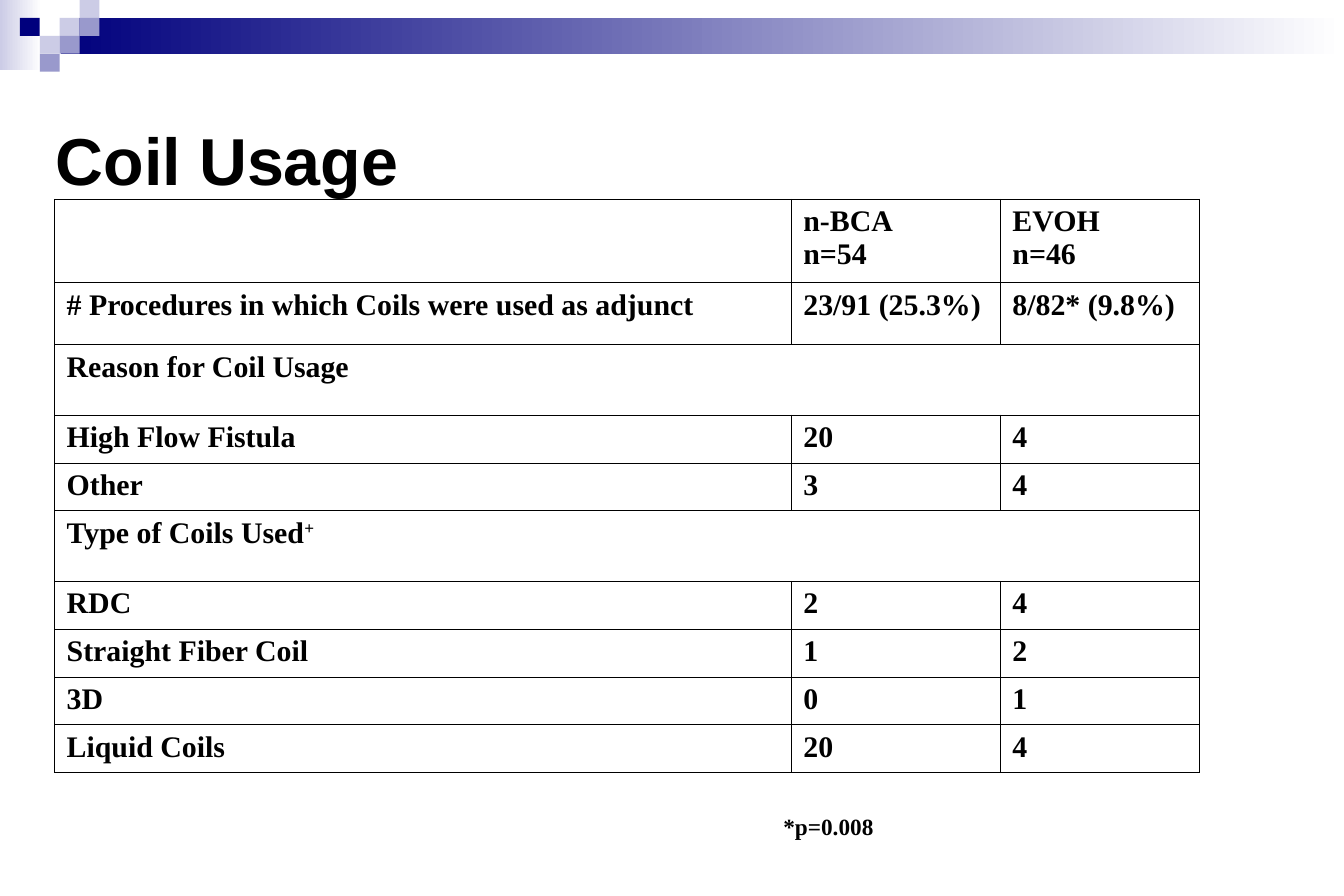
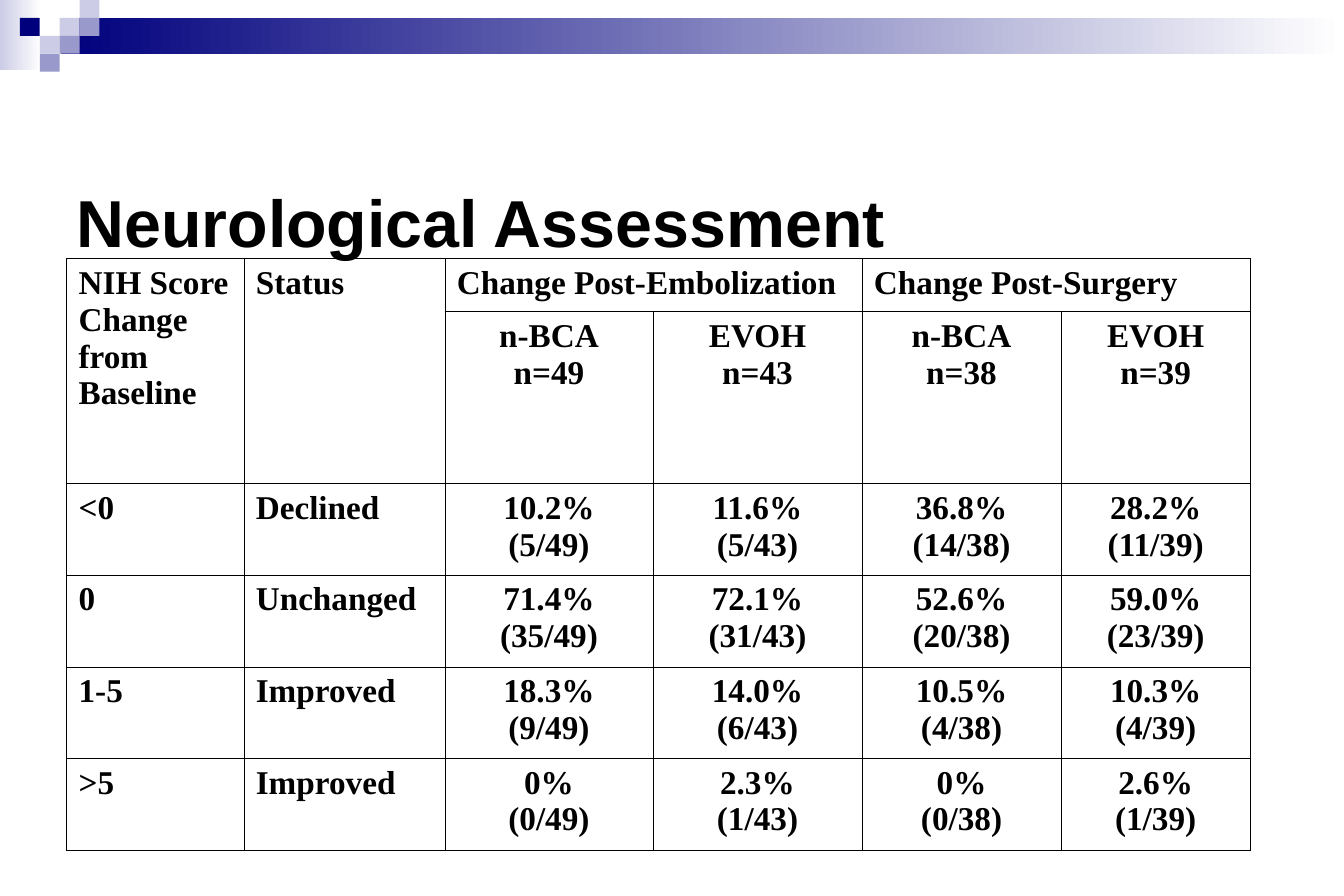
from lxml.etree import SubElement
from pptx import Presentation
from pptx.dml.color import RGBColor
from pptx.enum.shapes import MSO_SHAPE as Shape
from pptx.enum.text import MSO_ANCHOR as Anchor, PP_ALIGN as Align
from pptx.oxml.ns import qn
from pptx.util import Emu, Pt

PX = 7620
NAVY, PALE, MID, WHITE, BLACK = "00007D", "CCCCE6", "9999CC", "FFFFFF", "000000"
SANS, SERIF = "Arial", "Times New Roman"
TILE_W, TILE_H = 20, 18
TILES = [(3, 1, PALE), (4, 0, PALE), (4, 1, MID), (2, 2, PALE),
         (1, 1, NAVY), (3, 2, MID), (2, 3, MID)]

COILS = [
    ["", "n-BCA\nn=54", "EVOH\nn=46"],
    ["# Procedures in which Coils were used as adjunct",
     "23/91 (25.3%)", "8/82* (9.8%)"],
    ["Reason for Coil Usage"],
    ["High Flow Fistula", "20", "4"],
    ["Other", "3", "4"],
    ["Type of Coils Used"],
    ["RDC", "2", "4"],
    ["Straight Fiber Coil", "1", "2"],
    ["3D", "0", "1"],
    ["Liquid Coils", "20", "4"],
]
SCORES = [
    ["NIH Score Change from Baseline", "Status",
     "Change Post-Embolization", "", "Change Post-Surgery", ""],
    ["", "", "n-BCA\nn=49", "EVOH\nn=43", "n-BCA\nn=38", "EVOH\nn=39"],
    ["<0", "Declined", "10.2%\n(5/49)", "11.6%\n(5/43)",
     "36.8%\n(14/38)", "28.2%\n(11/39)"],
    ["0", "Unchanged", "71.4%\n(35/49)", "72.1%\n(31/43)",
     "52.6%\n(20/38)", "59.0%\n(23/39)"],
    ["1-5", "Improved", "18.3%\n(9/49)", "14.0%\n(6/43)",
     "10.5%\n(4/38)", "10.3%\n(4/39)"],
    [">5", "Improved", "0%\n(0/49)", "2.3%\n(1/43)",
     "0%\n(0/38)", "2.6%\n(1/39)"],
]


def px(*sizes):
    return [Emu(size * PX) for size in sizes]


def paint(color, code):
    color.rgb = RGBColor.from_string(code)


def style(para, size, face, align=Align.LEFT):
    para.alignment = align
    font = para.font
    font.size, font.name, font.bold = Pt(size), face, True
    paint(font.color, BLACK)


def block(slide, box, code, fade=False):
    shape = slide.shapes.add_shape(Shape.RECTANGLE, *px(*box))
    shape.shadow.inherit = False
    shape.line.fill.background()
    fill = shape.fill
    if fade:
        fill.gradient()
        fill.gradient_angle = 0
        for stop, tone in zip(fill.gradient_stops, (code, WHITE)):
            paint(stop.color, tone)
    else:
        fill.solid()
        paint(fill.fore_color, code)
    return shape


def brand(layout, slide):
    parts = [block(slide, (0, 0, 42, 70), PALE, True),
             block(slide, (61, 18, 1289, 36), NAVY, True)]
    parts += [block(slide, (col * TILE_W, row * TILE_H, TILE_W, TILE_H), code)
              for col, row, code in TILES]
    tree = layout.element.cSld.spTree
    for spot, part in enumerate(parts, 2):
        tree.insert(spot, part.element)


def head(slide, text, left, top, lift=0):
    title = slide.shapes.title
    title.left, title.top, title.width, title.height = px(left, top, 1214, 180)
    frame = title.text_frame
    frame.text = text
    frame.word_wrap = True
    frame.vertical_anchor = Anchor.MIDDLE
    frame.margin_bottom = px(6 + lift)[0]
    style(frame.paragraphs[0], 40, SANS)


def edge(cell):
    props = cell._tc.get_or_add_tcPr()
    for side in "LRTB":
        line = SubElement(props, qn(f"a:ln{side}"), w=str(Pt(0.45)))
        fill = SubElement(line, qn("a:solidFill"))
        SubElement(fill, qn("a:srgbClr"), val=BLACK)


def grid(slide, left, top, cols, rows, data, size, mid=None):
    box = px(left, top, sum(cols), sum(rows))
    table = slide.shapes.add_table(len(rows), len(cols), *box).table
    table.first_row = table.horz_banding = False
    for col, width in zip(table.columns, px(*cols)):
        col.width = width
    for row, height in zip(table.rows, px(*rows)):
        row.height = height
    for cell in table.iter_cells():
        edge(cell)
        cell.fill.background()
    for r, line in enumerate(data):
        for c, text in enumerate(line):
            cell = table.cell(r, c)
            cell.text = text
            center = mid and r >= mid[0] and c >= mid[1]
            for para in cell.text_frame.paragraphs:
                style(para, size, SERIF, Align.CENTER if center else Align.LEFT)
    return table


def merge(table, *spans):
    for top, left, low, right in spans:
        table.cell(top, left).merge(table.cell(low, right))


def note(slide, text, box):
    frame = slide.shapes.add_textbox(*px(*box)).text_frame
    frame.word_wrap = False
    frame.text = text
    style(frame.paragraphs[0], 14, SERIF)


def coils(slide):
    head(slide, "Coil Usage", 44, 70)
    rows = [84, 62, 71, 48, 48, 71] + [48] * 4
    table = grid(slide, 55, 200, [740, 210, 200], rows, COILS, 18)
    merge(table, (2, 0, 2, 2), (5, 0, 5, 2))
    plus = table.cell(5, 0).text_frame.paragraphs[0].add_run()
    plus.text = "+"
    plus._r.get_or_add_rPr().set("baseline", "30000")
    note(slide, "*p=0.008", (775, 810, 121, 44))


def scores(slide):
    head(slide, "Neurological Assessment", 65, 170, 76)
    cols = [178, 202, 209, 210, 200, 190]
    rows = [53, 173] + [92] * 4
    table = grid(slide, 67, 260, cols, rows, SCORES, 20, (1, 2))
    merge(table, (0, 0, 1, 0), (0, 1, 1, 1), (0, 2, 0, 3), (0, 4, 0, 5))


def main():
    deck = Presentation()
    deck.slide_width, deck.slide_height = px(1350, 900)
    layout = deck.slide_layouts[5]
    first, second = [deck.slides.add_slide(layout) for _ in range(2)]
    brand(layout, first)
    coils(first)
    scores(second)
    deck.save("out.pptx")


if __name__ == "__main__":
    main()
